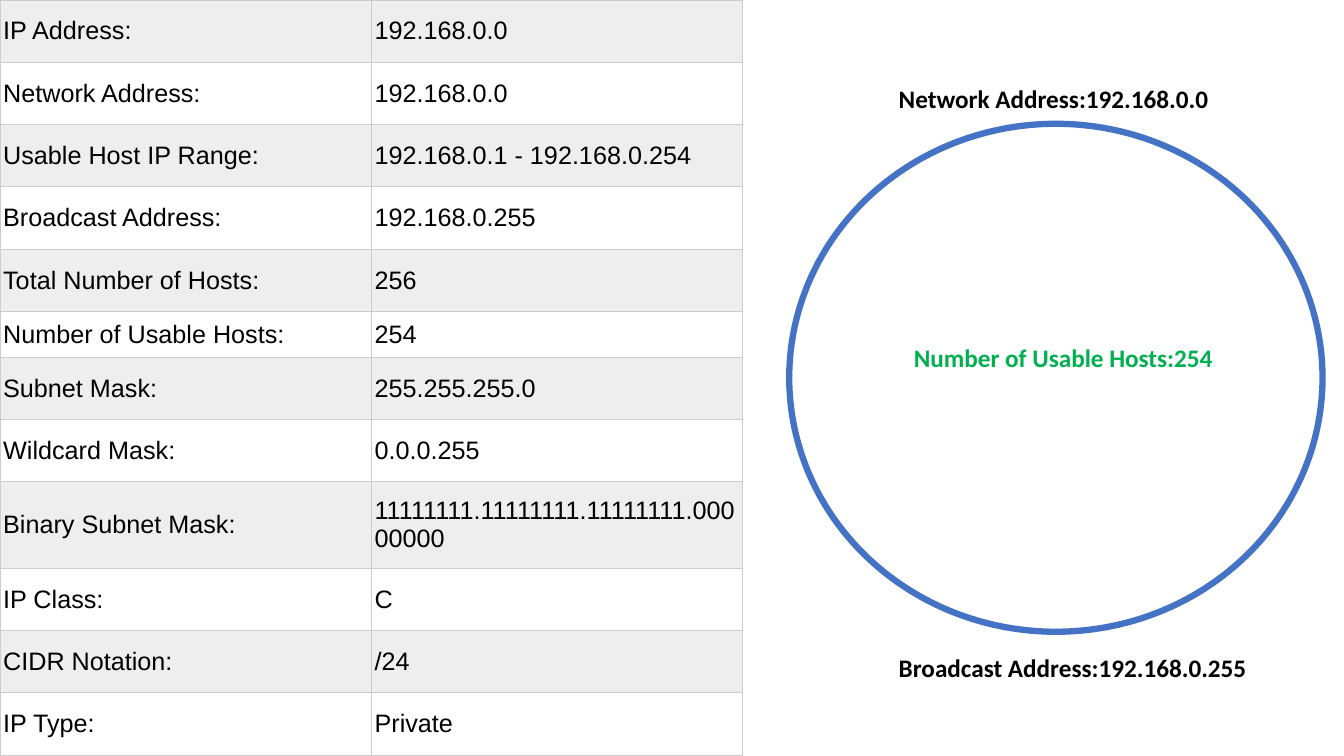
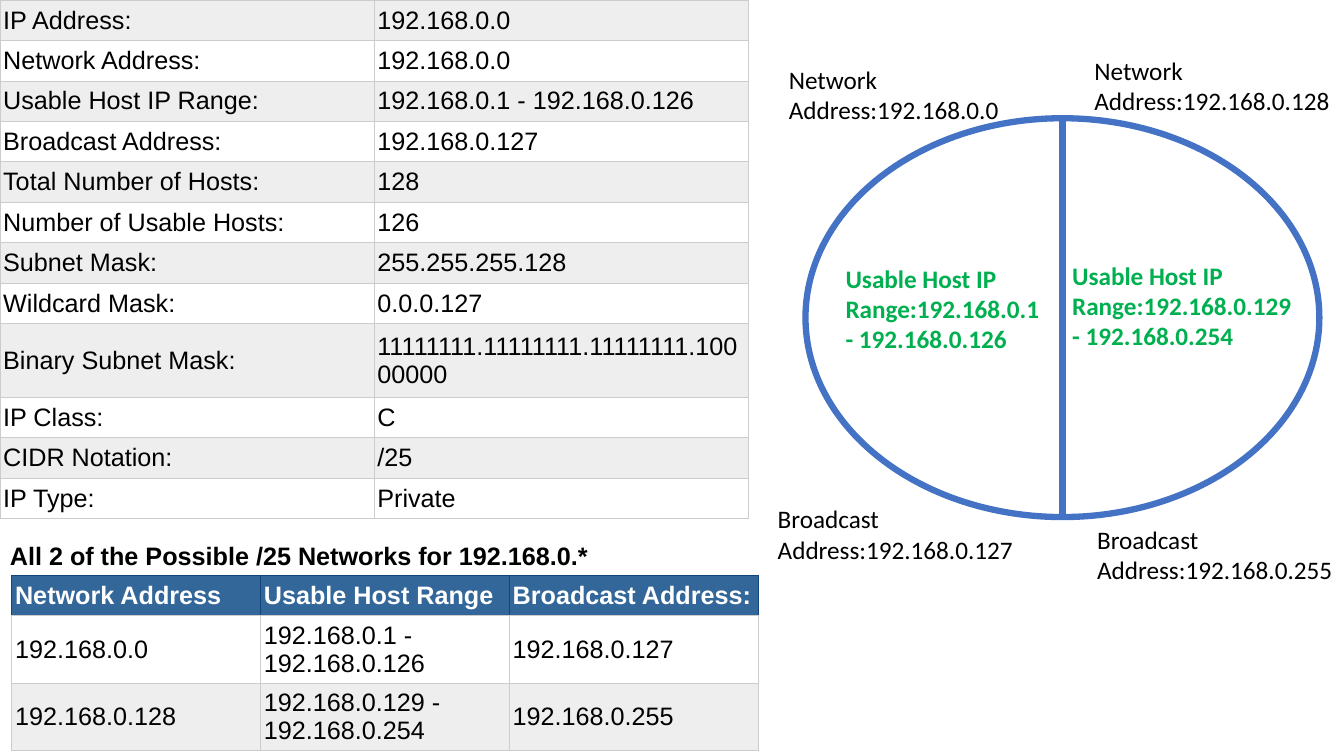
from dataclasses import dataclass
from typing import Sequence

from lxml.etree import SubElement
from pptx import Presentation
from pptx.dml.color import RGBColor
from pptx.enum.shapes import MSO_CONNECTOR, MSO_SHAPE
from pptx.enum.text import MSO_ANCHOR, MSO_AUTO_SIZE
from pptx.oxml import parse_xml
from pptx.oxml.ns import nsdecls, qn
from pptx.util import Cm, Pt

COLORS = {
    "text": "000000",
    "hosts": "00B050",
    "circle": "4472C4",
    "row": "FFFFFF",
    "band": "EEEEEE",
    "grid": "CCCCCC",
    "header": "336699",
    "header_grid": "114477",
    "header_text": "FFFFFF",
}
TABLE_FONT, DIAGRAM_FONT = "Arial", "Calibri"
LINE_HEIGHT, BOX_MARGINS = 0.77, 0.26  # cm
CELL_MARGIN, HEADER_MARGIN = 0.08, 0.12  # cm
BINARY_ROW = 8

FACT_LABELS = (
    "IP Address:", "Network Address:", "Usable Host IP Range:", "Broadcast Address:",
    "Total Number of Hosts:", "Number of Usable Hosts:", "Subnet Mask:", "Wildcard Mask:",
    "Binary Subnet Mask:", "IP Class:", "CIDR Notation:", "IP Type:",
)
WHOLE_FACTS = (
    "192.168.0.0", "192.168.0.0", "192.168.0.1 - 192.168.0.254", "192.168.0.255",
    "256", "254", "255.255.255.0", "0.0.0.255",
    "11111111.11111111.11111111.00000000", "C", "/24", "Private",
)
HALF_FACTS = (
    "192.168.0.0", "192.168.0.0", "192.168.0.1 - 192.168.0.126", "192.168.0.127",
    "128", "126", "255.255.255.128", "0.0.0.127",
    "11111111.11111111.11111111.10000000", "C", "/25", "Private",
)
HALF_NETWORKS = (
    ("Network Address", "Usable Host Range", "Broadcast Address:"),
    ("192.168.0.0", "192.168.0.1 - 192.168.0.126", "192.168.0.127"),
    ("192.168.0.128", "192.168.0.129 - 192.168.0.254", "192.168.0.255"),
)


@dataclass(frozen=True)
class Label:
    """A diagram label; place and width in cm."""
    text: str
    left: float
    top: float
    width: float
    lines: int = 1
    color: str = "text"
    bold: bool = False
    font: str = DIAGRAM_FONT


@dataclass(frozen=True)
class Grid:
    """A table; place, column width and row heights in cm."""
    rows: Sequence[Sequence[str]]
    left: float
    top: float
    column: float
    heights: Sequence[float]
    header: bool = False


WHOLE_LABELS = (
    Label("Network Address:192.168.0.0", 22.4, 1.98, 8.38, bold=True),
    Label("Broadcast Address:192.168.0.255", 22.4, 16.31, 9.35, bold=True),
    Label("Number of Usable Hosts:254", 22.78, 8.51, 8.1, color="hosts", bold=True),
)
HALF_LABELS = (
    Label("Network Address:192.168.0.0", 19.63, 1.5, 7.19, lines=2),
    Label("Network Address:192.168.0.128", 27.33, 1.27, 6.45, lines=2),
    Label("Broadcast Address:192.168.0.127", 19.35, 12.57, 7.04, lines=2),
    Label("Broadcast Address:192.168.0.255", 27.4, 13.08, 6.86, lines=2),
    Label("Usable Host IP Range:192.168.0.1 - 192.168.0.126",
          21.06, 6.5, 5.59, lines=3, color="hosts", bold=True),
    Label("Usable Host IP Range:192.168.0.129 - 192.168.0.254",
          26.77, 6.43, 6.07, lines=3, color="hosts", bold=True),
)
NETWORKS_TITLE = Label("All 2 of the Possible /25 Networks for 192.168.0.*",
                       0, 13.49, 15.21, bold=True, font=TABLE_FONT)


def rgb(name: str) -> RGBColor:
    return RGBColor.from_string(COLORS[name])


def write_text(frame, text: str, *, font: str, color: str = "text",
               bold: bool = False, size: float = 18) -> None:
    run = frame.paragraphs[0].add_run()
    run.text = text
    run.font.name = font
    run.font.size = Pt(size)
    run.font.bold = bold
    run.font.color.rgb = rgb(color)


def add_label(slide, label: Label) -> None:
    height = label.lines * LINE_HEIGHT + BOX_MARGINS
    box = slide.shapes.add_textbox(Cm(label.left), Cm(label.top), Cm(label.width), Cm(height))
    box.text_frame.word_wrap = label.lines > 1
    box.text_frame.auto_size = MSO_AUTO_SIZE.SHAPE_TO_FIT_TEXT
    write_text(box.text_frame, label.text, font=label.font, color=label.color, bold=label.bold)


def set_borders(cell, sides: str, top: str) -> None:
    """Draw the four cell edges; the bottom one always has the grid colour."""
    edges = (("L", sides), ("R", sides), ("T", top), ("B", "grid"))
    properties = cell._tc.get_or_add_tcPr()
    for position, (edge, color) in enumerate(edges):
        properties.insert(position, parse_xml(
            f'<a:ln{edge} {nsdecls("a")} w="{Pt(0.75)}"><a:solidFill>'
            f'<a:srgbClr val="{COLORS[color]}"/></a:solidFill></a:ln{edge}>'))


def add_grid(slide, grid: Grid) -> None:
    columns = len(grid.rows[0])
    table = slide.shapes.add_table(
        len(grid.rows), columns, Cm(grid.left), Cm(grid.top),
        Cm(grid.column * columns), Cm(sum(grid.heights))).table
    table.first_row = grid.header
    table.horz_banding = False
    for column in table.columns:
        column.width = Cm(grid.column)
    for index, (texts, height) in enumerate(zip(grid.rows, grid.heights)):
        table.rows[index].height = Cm(height)
        is_header = grid.header and index == 0
        # Bands start on the first row, or on the third below a header
        fill = "header" if is_header else ("row" if index % 2 else "band")
        edge = "header_grid" if is_header else "grid"
        for cell, text in zip(table.rows[index].cells, texts):
            cell.vertical_anchor = MSO_ANCHOR.MIDDLE
            cell.margin_left = cell.margin_right = Cm(CELL_MARGIN)
            cell.margin_top = cell.margin_bottom = Cm(HEADER_MARGIN if is_header else CELL_MARGIN)
            cell.fill.solid()
            cell.fill.fore_color.rgb = rgb(fill)
            set_borders(cell, sides=edge, top=edge)
            write_text(cell.text_frame, text, font=TABLE_FONT, bold=is_header,
                       color="header_text" if is_header else "text")


def add_facts(slide, values: Sequence[str], column: float, heights: Sequence[float]) -> None:
    add_grid(slide, Grid(tuple(zip(FACT_LABELS, values)), 0, 0, column, heights))


def style_line(shape) -> None:
    shape.line.color.rgb = rgb("circle")
    shape.line.width = Pt(4.5)


def add_circle(slide, left: float, top: float, width: float, height: float) -> None:
    circle = slide.shapes.add_shape(MSO_SHAPE.OVAL, Cm(left), Cm(top), Cm(width), Cm(height))
    circle.shadow.inherit = False
    circle.fill.background()
    style_line(circle)


def add_divider(slide, x: float, top: float, bottom: float) -> None:
    divider = slide.shapes.add_connector(MSO_CONNECTOR.STRAIGHT, Cm(x), Cm(top), Cm(x), Cm(bottom))
    style_line(divider)
    SubElement(divider._element.spPr, qn("a:effectLst"))


def build_whole_network(slide) -> None:
    heights = [1.57] * len(FACT_LABELS)
    heights[FACT_LABELS.index("Number of Usable Hosts:")] = 1.15
    heights[BINARY_ROW] = 2.18
    add_facts(slide, WHOLE_FACTS, 9.36, heights)
    add_circle(slide, 19.89, 3.12, 13.44, 12.8)
    for label in WHOLE_LABELS:
        add_label(slide, label)


def build_half_networks(slide) -> None:
    # Facts of one half
    heights = [1.02] * len(FACT_LABELS)
    heights[BINARY_ROW] = 1.85
    add_facts(slide, HALF_FACTS, 9.43, heights)

    # Both halves side by side
    add_label(slide, NETWORKS_TITLE)
    add_grid(slide, Grid(HALF_NETWORKS, 0.3, 14.5, 6.27, (1.02, 1.7, 1.7), header=True))

    # Divided circle
    left, top, width, height = 20.3, 2.98, 12.95, 10.05
    add_circle(slide, left, top, width, height)
    add_divider(slide, left + width / 2, top, top + height)
    for label in HALF_LABELS:
        add_label(slide, label)


def main() -> None:
    deck = Presentation()
    deck.slide_width, deck.slide_height = Cm(33.87), Cm(19.05)
    blank = deck.slide_layouts[6]
    for build in (build_whole_network, build_half_networks):
        build(deck.slides.add_slide(blank))
    deck.save("out.pptx")


if __name__ == "__main__":
    main()
